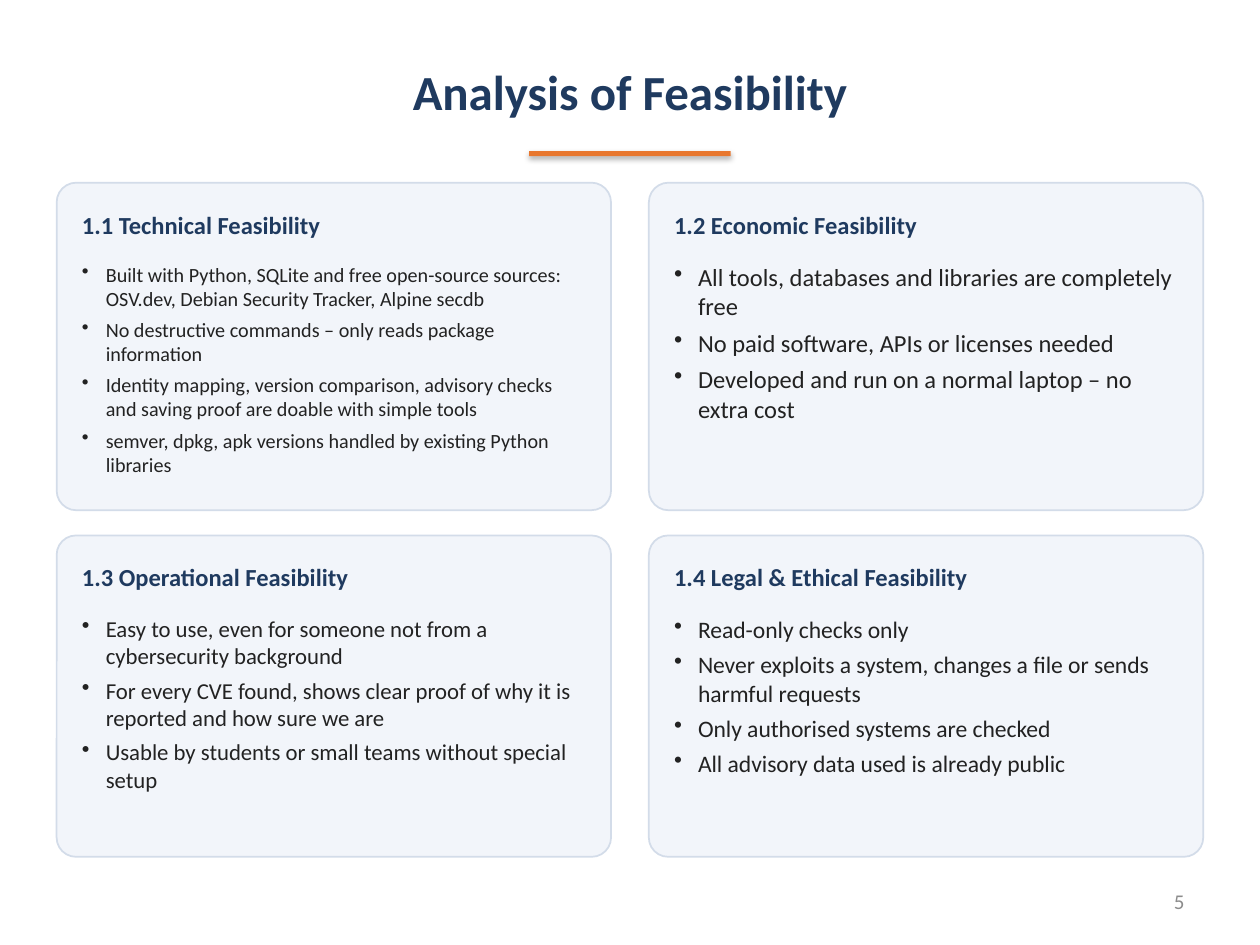
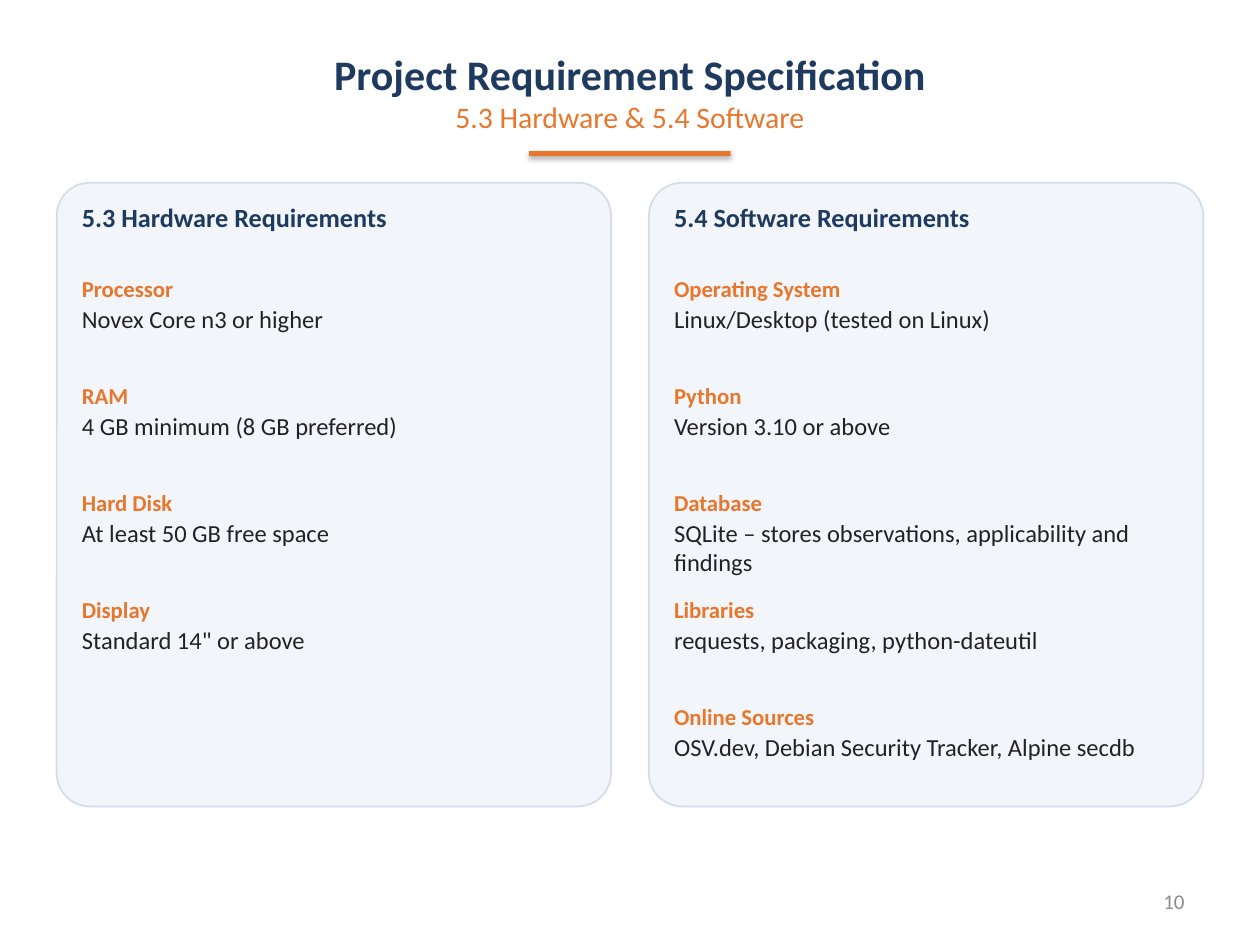
import pptx
import pptx.util
import pptx.dml.color
import pptx.enum.shapes
import pptx.enum.text
from lxml import etree

Inches, Pt = pptx.util.Inches, pptx.util.Pt
SHAPE = pptx.enum.shapes.MSO_SHAPE
ALIGN = pptx.enum.text.PP_ALIGN
ANCHOR = pptx.enum.text.MSO_ANCHOR

FEASIBILITY = [
    ("1.1 Technical Feasibility", 11.5, [
        "Built with Python, SQLite and free open-source sources: OSV.dev, Debian Security Tracker, Alpine secdb",
        "No destructive commands – only reads package information",
        "Identity mapping, version comparison, advisory checks and saving proof are doable with simple tools",
        "semver, dpkg, apk versions handled by existing Python libraries",
    ]),
    ("1.2 Economic Feasibility", 14, [
        "All tools, databases and libraries are completely free",
        "No paid software, APIs or licenses needed",
        "Developed and run on a normal laptop – no extra cost",
    ]),
    ("1.3 Operational Feasibility", 13, [
        "Easy to use, even for someone not from a cybersecurity background",
        "For every CVE found, shows clear proof of why it is reported and how sure we are",
        "Usable by students or small teams without special setup",
    ]),
    ("1.4 Legal & Ethical Feasibility", 13.5, [
        "Read-only checks only",
        "Never exploits a system, changes a file or sends harmful requests",
        "Only authorised systems are checked",
        "All advisory data used is already public",
    ]),
]
REQUIREMENTS = [
    ("5.3 Hardware Requirements", [
        ("Processor", "Novex Core n3 or higher"),
        ("RAM", "4 GB minimum (8 GB preferred)"),
        ("Hard Disk", "At least 50 GB free space"),
        ("Display", 'Standard 14" or above'),
    ]),
    ("5.4 Software Requirements", [
        ("Operating System", "Linux/Desktop (tested on Linux)"),
        ("Python", "Version 3.10 or above"),
        ("Database", "SQLite – stores observations, applicability and findings"),
        ("Libraries", "requests, packaging, python-dateutil"),
        ("Online Sources", "OSV.dev, Debian Security Tracker, Alpine secdb"),
    ]),
]

FONT = "Calibri"
NAVY, ORANGE, INK, GREY = "1F3A5F", "E8772E", "222222", "8C8C8C"
CARD_FILL, CARD_LINE = "F2F5FA", "D3DCE9"

W, H = 10, 7.5
CARD_W, COL_GAP, ROW_GAP = 4.4, 0.3, 0.2
MARGIN = (W - 2 * CARD_W - COL_GAP) / 2
CARD_TOP = 1.45
PAD = 0.15
TEXT_W = 4.1
TIGHT = (0.05, 0.03)
ITEM_STEP = 0.85


def rgb(value):
    return pptx.dml.color.RGBColor.from_string(value)


def add_bullet(p):
    pPr = p._p.get_or_add_pPr()
    pPr.set("marL", str(Inches(0.19)))
    pPr.set("indent", str(-Inches(0.19)))
    etree.SubElement(pPr, pptx.oxml.ns.qn("a:buChar")).set("char", "•")


def add_text(slide, box, lines, align=ALIGN.LEFT, anchor=ANCHOR.TOP,
             inset=(0.1, 0.05), after=0, bullet=False):
    tf = slide.shapes.add_textbox(*map(Inches, box)).text_frame
    tf.word_wrap = True
    tf.vertical_anchor = anchor
    tf.margin_left = tf.margin_right = Inches(inset[0])
    tf.margin_top = tf.margin_bottom = Inches(inset[1])
    for i, (text, size, color, bold) in enumerate(lines):
        p = tf.add_paragraph() if i else tf.paragraphs[0]
        if bullet:
            add_bullet(p)
        p.alignment = align
        p.space_after = Pt(after)
        r = p.add_run()
        r.text = text
        r.font.name, r.font.size, r.font.bold = FONT, Pt(size), bold
        r.font.color.rgb = rgb(color)


def add_slide(prs, title_lines, number):
    slide = prs.slides.add_slide(prs.slide_layouts[6])
    slide.background.fill.solid()
    slide.background.fill.fore_color.rgb = rgb("FFFFFF")
    add_text(slide, (0.5, 0.25, W - 1, 0.95), title_lines, ALIGN.CENTER, ANCHOR.MIDDLE)
    add_text(slide, (7.17, 6.95, 2.33, 0.4), [(number, 12, GREY, False)],
             ALIGN.RIGHT, ANCHOR.MIDDLE)
    rule_w = 0.16 * W
    rule = slide.shapes.add_shape(
        SHAPE.RECTANGLE, *map(Inches, ((W - rule_w) / 2, 1.2, rule_w, 0.04)))
    rule.fill.solid()
    rule.fill.fore_color.rgb = rgb(ORANGE)
    rule.line.fill.background()
    return slide


def add_card(slide, col, top, height, heading, size, heading_h, anchor):
    left = MARGIN + col * (CARD_W + COL_GAP)
    sp = slide.shapes.add_shape(
        SHAPE.ROUNDED_RECTANGLE, *map(Inches, (left, top, CARD_W, height)))
    sp.adjustments[0] = 0.06
    sp.shadow.inherit = False
    sp.fill.solid()
    sp.fill.fore_color.rgb = rgb(CARD_FILL)
    sp.line.color.rgb = rgb(CARD_LINE)
    sp.line.width = Pt(1)
    add_text(slide, (left + PAD, top + 0.12, TEXT_W, heading_h),
             [(heading, size, NAVY, True)], anchor=anchor, inset=TIGHT, after=3)
    return left + PAD


def build_feasibility(prs):
    slide = add_slide(prs, [("Analysis of Feasibility", 28, NAVY, True)], "5")
    heights = (2.6, 2.55)
    for i, (heading, size, points) in enumerate(FEASIBILITY):
        row, col = divmod(i, 2)
        top = CARD_TOP + row * (heights[0] + ROW_GAP)
        left = add_card(slide, col, top, heights[row], heading, 14, 0.42, ANCHOR.MIDDLE)
        add_text(slide, (left, top + 0.6, TEXT_W, heights[row] - 0.68),
                 [(point, size, INK, False) for point in points],
                 inset=TIGHT, after=4, bullet=True)


def build_requirements(prs):
    slide = add_slide(prs, [("Project Requirement Specification", 24, NAVY, True),
                            ("5.3 Hardware & 5.4 Software", 17, ORANGE, False)], "10")
    for col, (heading, items) in enumerate(REQUIREMENTS):
        left = add_card(slide, col, CARD_TOP, 4.95, heading, 15, 0.4, ANCHOR.TOP)
        for i, (label, value) in enumerate(items):
            add_text(slide, (left, CARD_TOP + 0.7 + i * ITEM_STEP, TEXT_W, 0.8),
                     [(label, 13, ORANGE, True), (value, 14, INK, False)],
                     inset=TIGHT, after=1)


def main():
    prs = pptx.Presentation()
    prs.slide_width, prs.slide_height = Inches(W), Inches(H)
    build_feasibility(prs)
    build_requirements(prs)
    prs.save("out.pptx")


if __name__ == "__main__":
    main()
